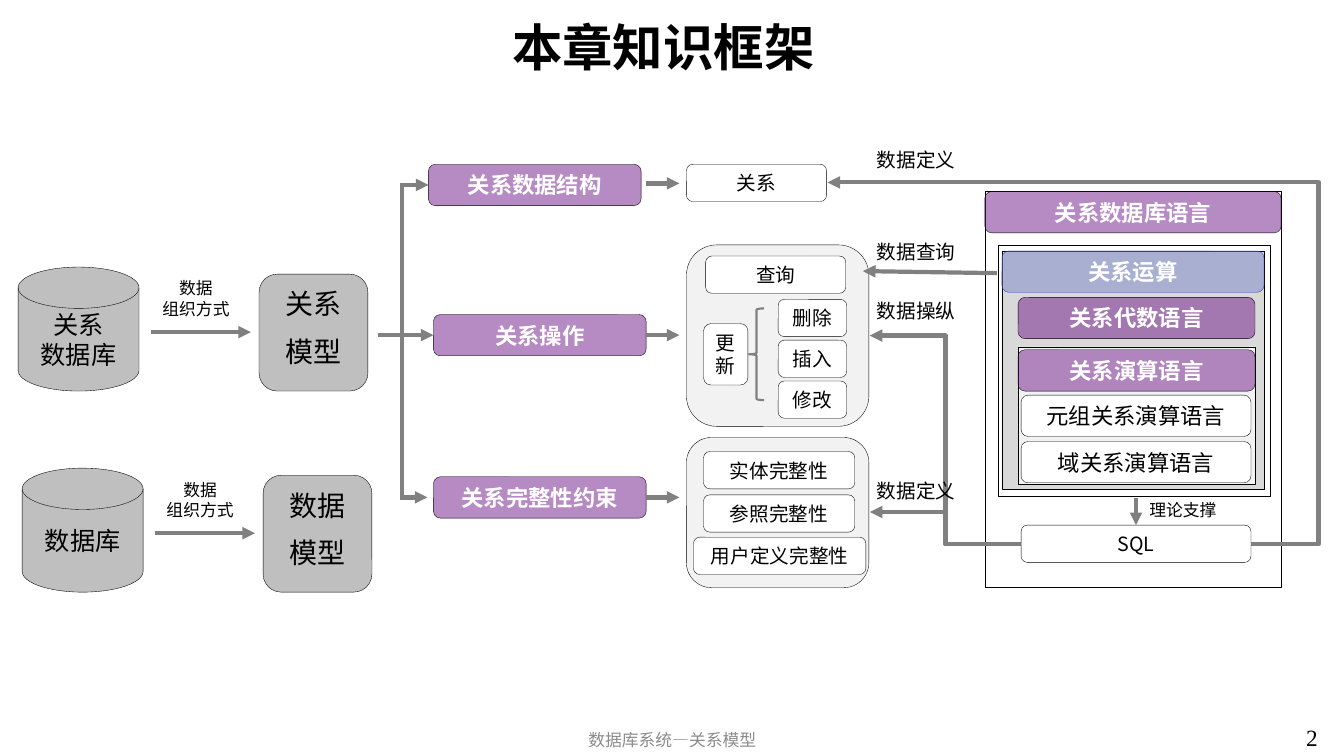
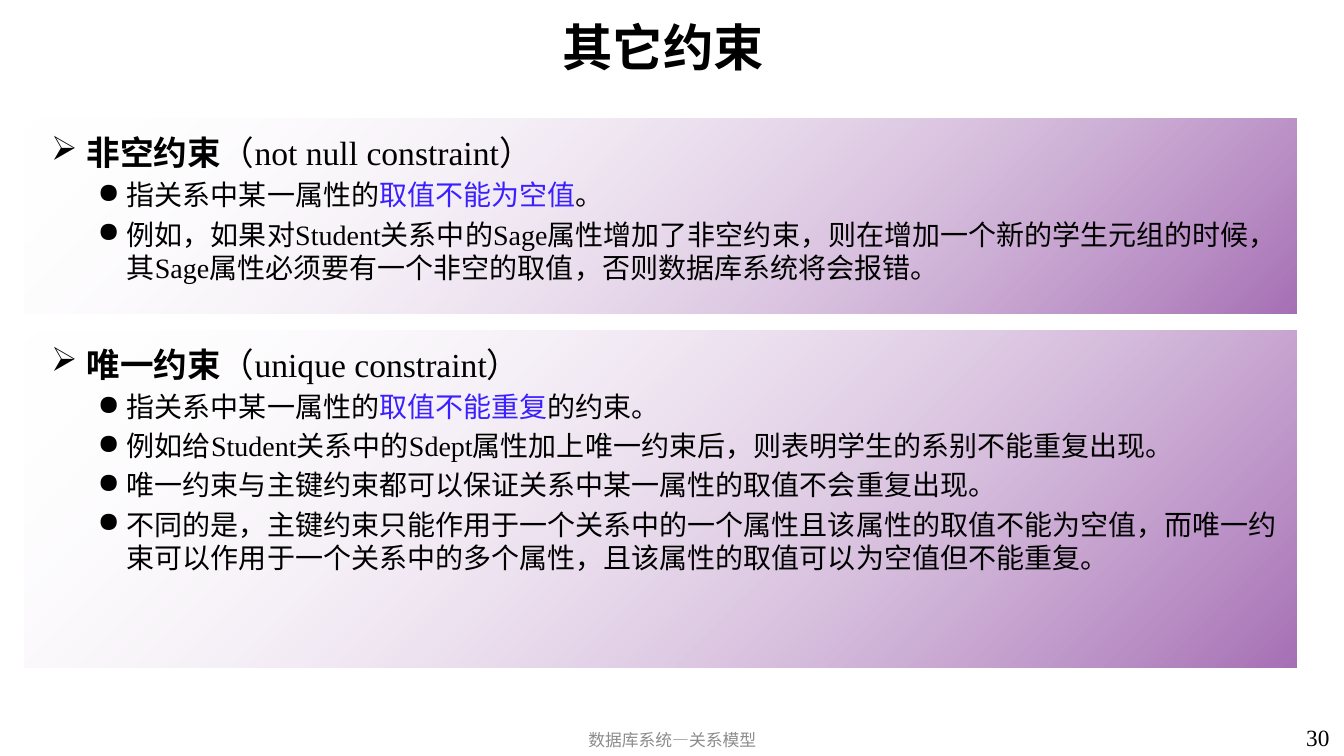
from dataclasses import dataclass

from lxml.etree import SubElement
from pptx import Presentation
from pptx.dml.color import RGBColor
from pptx.enum.shapes import MSO_CONNECTOR, MSO_SHAPE
from pptx.enum.text import MSO_ANCHOR, PP_ALIGN
from pptx.oxml.ns import qn
from pptx.util import Inches, Pt

COLUMNS, ROWS = 133.33, 75
TOP, LEFT, BOTTOM, RIGHT = range(4)


@dataclass(frozen=True)
class Theme:
    black: str = "000000"
    white: str = "FFFFFF"
    purple: str = "6F1787"
    blue: str = "7886CA"
    blue_line: str = "3333CC"
    accent: str = "3B20FF"
    arrow: str = "808080"
    footer: str = "8C8C8C"
    solid: str = "BFBFBF"
    panel: str = "D9D9D9"
    pale: str = "F2F2F2"
    sans: str = "Noto Sans CJK SC"
    serif: str = "Times New Roman"
    title_size: float = 36
    heading_size: float = 24
    body_size: float = 20
    disk_size: float = 18
    banner_size: float = 16
    number_size: float = 16.6
    item_size: float = 14
    caption_size: float = 12
    hairline: float = 0.25
    leading: float = 1.2


THEME = Theme()


def cells(count):
    """Length of a number of grid cells, each a tenth of an inch."""
    return Inches(count / 10)


def color(code):
    return RGBColor.from_string(code)


def set_alpha(color_element, percent):
    SubElement(color_element, qn("a:alpha"), val=str(percent * 1000))


def add_span(para, text, size, ink=THEME.black, bold=False, latin=THEME.sans):
    span = para.add_run()
    span.text = text
    span.font.size = Pt(size)
    span.font.bold = bold
    span.font.color.rgb = color(ink)
    span.font.name = latin
    SubElement(span.font._element, qn("a:ea"), typeface=THEME.sans)


def next_para(frame, size, gap=0):
    """The next paragraph to fill; the first one gets no space before."""
    para = frame.paragraphs[0]
    if para.runs:
        para = frame.add_paragraph()
        para.space_before = Pt(size * gap)
    para.line_spacing = Pt(size * THEME.leading)
    return para


def prepare_frame(frame, anchor=MSO_ANCHOR.MIDDLE, inset=0):
    frame.word_wrap = True
    frame.vertical_anchor = anchor
    frame.margin_left = frame.margin_right = cells(1)
    frame.margin_top = frame.margin_bottom = cells(inset)


def write_lines(frame, lines, size, ink=THEME.black, bold=False, gap=0,
                align=PP_ALIGN.CENTER, latin=THEME.sans):
    prepare_frame(frame)
    for line in lines.split("\n"):
        para = next_para(frame, size, gap)
        para.alignment = align
        add_span(para, line, size, ink, bold, latin)


def add_label(page, at, lines, size, **style):
    box = page.shapes.add_textbox(*map(cells, at))
    write_lines(box.text_frame, lines, size, **style)


def add_block(page, at, fill=None, preset=MSO_SHAPE.RECTANGLE, alpha=None,
              line=THEME.black, weight=THEME.hairline):
    block = page.shapes.add_shape(preset, *map(cells, at))
    block.shadow.inherit = False
    if fill:
        block.fill.solid()
        block.fill.fore_color.rgb = color(fill)
        if alpha:
            set_alpha(block.element.spPr.find(".//" + qn("a:srgbClr")), alpha)
    else:
        block.fill.background()
    block.line.color.rgb = color(line)
    block.line.width = Pt(weight)
    return block


def add_rounded(page, at, fill, **style):
    return add_block(page, at, fill, MSO_SHAPE.ROUNDED_RECTANGLE, **style)


def add_banner(page, left, top, width, text, fill=THEME.purple, line=THEME.black):
    banner = add_rounded(page, (left, top, width, 4.1), fill, alpha=50, line=line)
    write_lines(banner.text_frame, text, THEME.banner_size, THEME.white, True)
    return banner


def add_item(page, left, top, width, text, height=3.7, size=THEME.item_size):
    item = add_rounded(page, (left, top, width, height), THEME.white)
    write_lines(item.text_frame, text, size)
    return item


def add_arrow(page, start, end, kind=MSO_CONNECTOR.STRAIGHT, head=True, bend=None):
    arrow = page.shapes.add_connector(kind, *map(cells, (*start, *end)))
    arrow.line.color.rgb = color(THEME.arrow)
    arrow.line.width = Pt(3)
    properties = arrow.element.spPr
    if head:
        SubElement(properties.find(qn("a:ln")), qn("a:tailEnd"), type="triangle")
    SubElement(properties, qn("a:effectLst"))
    if bend is not None:
        geometry = properties.find(qn("a:prstGeom"))
        guides = geometry.find(qn("a:avLst"))
        if guides is None:
            guides = SubElement(geometry, qn("a:avLst"))
        SubElement(guides, qn("a:gd"), name="adj1", fmla=f"val {round(bend * 100000)}")
    return arrow


def start_page(deck, title, number):
    page = deck.slides.add_slide(deck.slide_layouts[6])
    add_label(page, (10.6, 0.9, 110.4, 7.4), title, THEME.title_size, bold=True)
    add_label(page, (44.2, 71.7, 45, 3.3), "数据库系统—关系模型", THEME.caption_size,
              ink=THEME.footer)
    add_label(page, (128.6, 71.3, 4.7, 3.7), number, THEME.number_size,
              align=PP_ALIGN.LEFT, latin=THEME.serif)
    return page


def add_model_chain(page, left, top, store, model):
    """A data store, an arrow with its caption, and the model it leads to."""
    disk = add_block(page, (left, top, 12, 12.3), THEME.solid,
                     MSO_SHAPE.FLOWCHART_MAGNETIC_DISK)
    write_lines(disk.text_frame, store, THEME.disk_size)
    box = add_rounded(page, (left + 23.9, top + 0.7, 10.8, 11.6), THEME.solid)
    write_lines(box.text_frame, model, THEME.body_size, gap=0.5)
    box.text_frame.margin_bottom = cells(1)
    add_arrow(page, (left + 13.2, top + 6.45), (left + 23.1, top + 6.45))
    add_label(page, (left + 11.3, top + 0.3, 12.7, 5.6), "数据\n组织方式",
              THEME.caption_size)


def add_model_parts(page):
    structure = add_banner(page, 42.5, 16.3, 21.1, "关系数据结构")
    operation = add_banner(page, 43, 31.2, 21.1, "关系操作")
    integrity = add_banner(page, 43, 47.3, 21.1, "关系完整性约束")
    trunk, first, middle, last = 39.9, 18.35, 33.25, 49.35
    add_arrow(page, (37.5, middle), (43, middle)).end_connect(operation, LEFT)
    add_arrow(page, (39.7, first), (42.5, first)).end_connect(structure, LEFT)
    add_arrow(page, (39.7, last), (42.4, last))
    add_arrow(page, (trunk, first), (trunk, last), head=False)
    add_arrow(page, (64.1, 18.2), (67.4, 18.2))
    for banner, row in ((operation, middle), (integrity, last)):
        add_arrow(page, (64.1, row), (67.4, row)).begin_connect(banner, RIGHT)


def add_part_details(page):
    add_item(page, 68.1, 16.3, 13.9, "关系")
    add_rounded(page, (68.1, 24.3, 18.1, 18), THEME.pale)
    add_item(page, 70, 25.4, 13.9, "查询")
    add_item(page, 69.8, 32.1, 4.4, "更新", height=6.1)
    add_block(page, (74.3, 30.6, 1.5, 9.1), preset=MSO_SHAPE.LEFT_BRACE,
              line=THEME.arrow, weight=1.5)
    for index, text in enumerate(("删除", "插入", "修改")):
        add_item(page, 77.2, 29.7 + 4.05 * index, 6.8, text)
    add_rounded(page, (68.1, 43.4, 18.1, 14.9), THEME.pale)
    add_item(page, 69.8, 44.8, 15, "实体完整性")
    add_item(page, 69.8, 49.1, 15, "参照完整性")
    add_item(page, 68.8, 53.3, 17.1, "用户定义完整性")


def add_languages(page):
    add_block(page, (97.7, 19, 29.4, 39.3), THEME.white)
    add_block(page, (99.4, 24.9, 26, 23.6), THEME.panel)
    add_block(page, (101, 34.4, 23.5, 13.6), THEME.pale)
    add_banner(page, 97.7, 19, 29.4, "关系数据库语言")
    add_banner(page, 99.4, 24.9, 26, "关系运算", THEME.blue, THEME.blue_line)
    add_banner(page, 101, 29.5, 23.5, "关系代数语言")
    add_banner(page, 101, 34.7, 23.5, "关系演算语言")
    for row, text in ((39.2, "元组关系演算语言"), (43.8, "域关系演算语言")):
        add_item(page, 101.3, row, 22.8, text, height=4.1, size=THEME.banner_size)
    add_block(page, (99, 24.3, 27, 24.9))
    query_language = add_item(page, 101.3, 52.1, 22.8, "SQL")
    add_label(page, (111, 48.9, 12.7, 3.4), "理论支撑", THEME.caption_size)
    add_arrow(page, (112.7, 49.4), (112.7, 52.1)).end_connect(query_language, TOP)


def add_language_links(page):
    for row in (50.8, 33.3):
        add_arrow(page, (101.3, 54), (86.3, row), MSO_CONNECTOR.ELBOW, bend=0.5)
    add_arrow(page, (124.1, 54), (82.1, 18.1), MSO_CONNECTOR.ELBOW, bend=-0.16)
    add_arrow(page, (98.9, 27.1), (85.6, 26.9))
    for row, text in ((14.1, "数据定义"), (23.3, "数据查询"),
                      (29.1, "数据操纵"), (47, "数据定义")):
        add_label(page, (86, row, 12.7, 3.4), text, THEME.item_size,
                  align=PP_ALIGN.LEFT)


def add_gradient_panel(page, top, height):
    panel = add_block(page, (2.4, top, 126.2, height), THEME.white)
    panel.line.fill.background()
    panel.fill.gradient()
    panel.fill.gradient_angle = 135
    stops = ((THEME.purple, 62), (THEME.white, 0))
    for stop, (code, _) in zip(panel.fill.gradient_stops, stops):
        stop.color.rgb = color(code)
    codes = panel.element.spPr.find(qn("a:gradFill")).iter(qn("a:srgbClr"))
    for element, (_, alpha) in zip(list(codes), stops):
        set_alpha(element, alpha)


def add_bullet(frame, spans, size, mark, indent, hanging):
    para = next_para(frame, size, 0.2)
    properties = para._p.get_or_add_pPr()
    properties.set("marL", str(cells(indent)))
    properties.set("indent", str(-cells(hanging)))
    SubElement(properties, qn("a:buChar"), char=mark)
    for text, ink, bold in spans:
        add_span(para, text, size, ink, bold, THEME.serif)


def add_constraint(page, top, height, name, term, points):
    """A gradient panel with a heading and points; "|" sets off accented text."""
    add_gradient_panel(page, top, height)
    box = page.shapes.add_textbox(*map(cells, (4.1, top + 0.8, 125.1, height - 0.8)))
    frame = box.text_frame
    prepare_frame(frame, MSO_ANCHOR.TOP, 0.5)
    heading = ((name, THEME.black, True), (term, THEME.black, False))
    add_bullet(frame, heading, THEME.heading_size, "➢", 3.5, 3.5)
    for point in points:
        spans = [(text, THEME.accent if index % 2 else THEME.black, False)
                 for index, text in enumerate(point.split("|"))]
        add_bullet(frame, spans, THEME.body_size, "●", 7.5, 2.9)


def build_framework(deck):
    page = start_page(deck, "本章知识框架", "2")
    add_model_chain(page, 1.8, 26.5, "关系\n数据库", "关系\n模型")
    add_model_chain(page, 2.2, 46.45, "数据库", "数据\n模型")
    add_model_parts(page)
    add_part_details(page)
    add_languages(page)
    add_language_links(page)


def build_constraints(deck):
    page = start_page(deck, "其它约束", "30")
    add_constraint(page, 11.8, 19.3, "非空约束", "（not null constraint）", (
        "指关系中某一属性的|取值不能为空值|。",
        "例如，如果对Student关系中的Sage属性增加了非空约束，则在增加一个新的学生元组的时候，"
        "其Sage属性必须要有一个非空的取值，否则数据库系统将会报错。",
    ))
    add_constraint(page, 32.8, 33.4, "唯一约束", "（unique constraint）", (
        "指关系中某一属性的|取值不能重复|的约束。",
        "例如给Student关系中的Sdept属性加上唯一约束后，则表明学生的系别不能重复出现。",
        "唯一约束与主键约束都可以保证关系中某一属性的取值不会重复出现。",
        "不同的是，主键约束只能作用于一个关系中的一个属性且该属性的取值不能为空值，"
        "而唯一约束可以作用于一个关系中的多个属性，且该属性的取值可以为空值但不能重复。",
    ))


def main():
    deck = Presentation()
    deck.slide_width, deck.slide_height = cells(COLUMNS), cells(ROWS)
    build_framework(deck)
    build_constraints(deck)
    deck.save("out.pptx")


if __name__ == "__main__":
    main()
